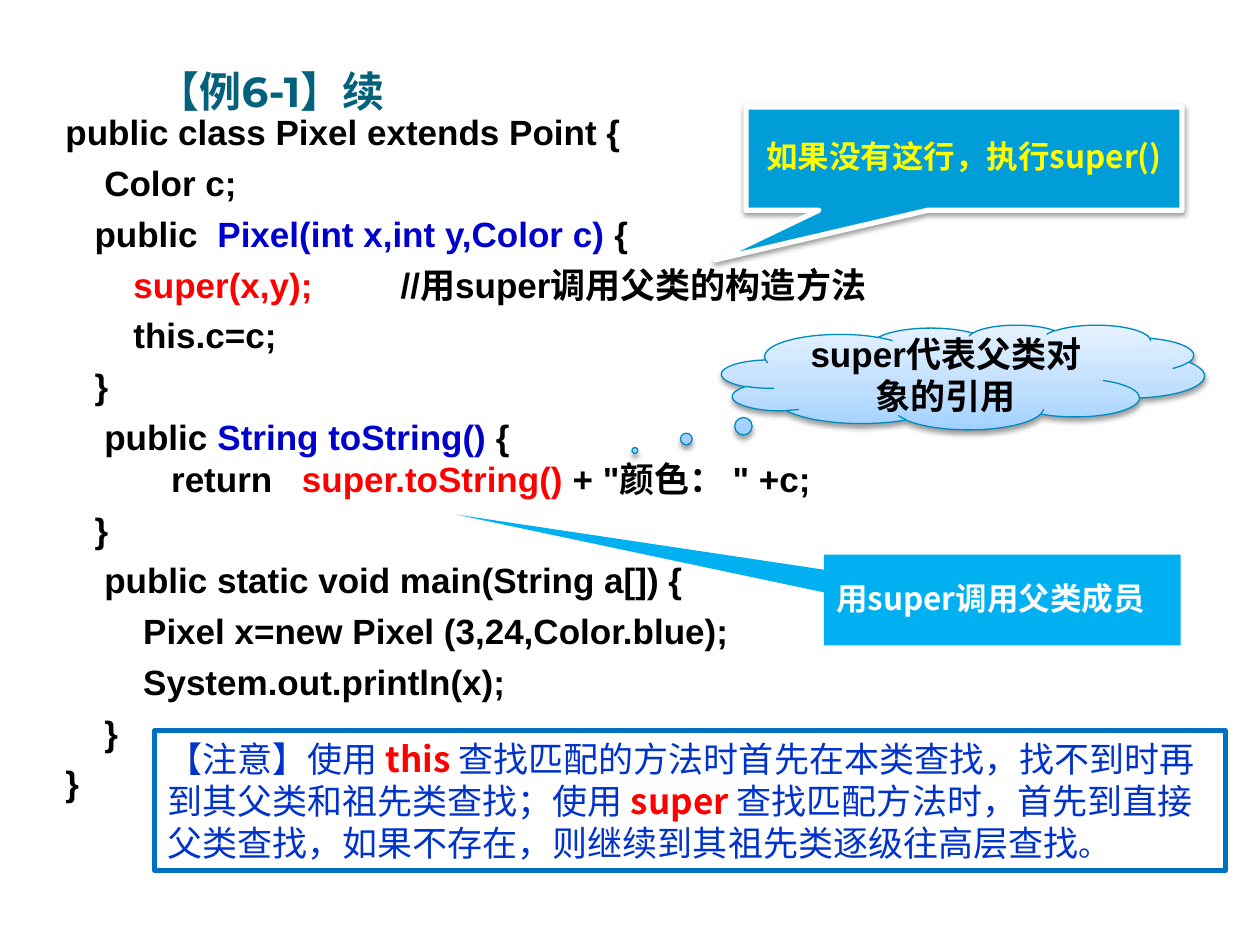
from dataclasses import dataclass
from typing import Optional

import lxml.etree
import pptx
import pptx.dml.color
import pptx.enum.dml
import pptx.enum.shapes
import pptx.enum.text
import pptx.oxml.ns
import pptx.util

Cm = pptx.util.Cm
Pt = pptx.util.Pt
RGBColor = pptx.dml.color.RGBColor
Anchor = pptx.enum.text.MSO_ANCHOR
Align = pptx.enum.text.PP_ALIGN
Preset = pptx.enum.shapes.MSO_SHAPE
qn = pptx.oxml.ns.qn

BLACK = RGBColor(0x00, 0x00, 0x00)
WHITE = RGBColor(0xFF, 0xFF, 0xFF)
RED = RGBColor(0xFF, 0x00, 0x00)
YELLOW = RGBColor(0xFF, 0xFF, 0x00)
TEAL = RGBColor(0x04, 0x61, 0x7B)
CODE_BLUE = RGBColor(0x00, 0x00, 0xCC)
NOTE_BLUE = RGBColor(0x00, 0x33, 0xCC)
FRAME_BLUE = RGBColor(0x00, 0x70, 0xC0)
DEEP_SKY = RGBColor(0x00, 0x9D, 0xD9)
SKY = RGBColor(0x00, 0xB0, 0xF0)
CLOUD_LINE = RGBColor(0x00, 0x8B, 0xC0)
CLOUD_STOPS = (
    (0, RGBColor(0xA2, 0xD1, 0xFF)),
    (0.35, RGBColor(0xBD, 0xDE, 0xFF)),
    (1, RGBColor(0xE6, 0xF2, 0xFF)),
)
CHINESE_FONT = "Noto Sans CJK SC"


@dataclass(frozen=True)
class Span:
    text: str
    color: RGBColor = BLACK
    bold: bool = True
    size: float = 20


@dataclass(frozen=True)
class Style:
    font: str
    align: Align = Align.LEFT
    hanging: float = 0
    before: float = 0
    after: float = 0
    spacing: Optional[float] = None


@dataclass(frozen=True)
class Callout:
    preset: Preset
    area: tuple[float, float, float, float]
    tail: tuple[float, float]
    span: Span
    style: Style
    fill: Optional[RGBColor] = None
    line: Optional[RGBColor] = None
    line_width: float = 0
    shadow: bool = False


CODE_STYLE = Style("Arial", hanging=0.76, before=5)
CODE = (
    (Span("public class Pixel extends Point {"),),
    (Span("    Color c;"),),
    (Span("   public  "), Span("Pixel(int x,int y,Color c)", CODE_BLUE), Span(" {")),
    (Span("       super(x,y);         ", RED), Span("//用super调用父类的构造方法")),
    (Span("       this.c=c;"),),
    (Span("   }"),),
    (Span("    public "), Span("String toString()", CODE_BLUE), Span(" {"), Span("\n"),
     Span("       return   "), Span("super.toString() ", RED), Span("+ \"颜色： \" +c;")),
    (Span("   }"),),
    (Span("    public static void main(String a[]) {"),),
    (Span("        Pixel x=new Pixel (3,24,Color.blue);"),),
    (Span("        System.out.println(x);"),),
    (Span("    }"),),
    (Span("}"),),
)
NOTE = (
    Span("【注意】使用 ", NOTE_BLUE, False),
    Span("this ", RED),
    Span("查找匹配的方法时首先在本类查找，找不到时再到其父类和祖先类查找；使用 ", NOTE_BLUE, False),
    Span("super ", RED),
    Span("查找匹配方法时，首先到直接父类查找，如果不存在，则继续到其祖先类逐级往高层查找", NOTE_BLUE, False),
    Span("。", NOTE_BLUE, False, 18),
)
CALLOUTS = (
    Callout(Preset.RECTANGULAR_CALLOUT, (15.04, 2.16, 8.79, 2.08), (-0.57, 0.98),
            Span("如果没有这行，执行super()", YELLOW, size=18),
            Style(CHINESE_FONT, Align.CENTER, 0.48, 0, 3, 0.9),
            DEEP_SKY, WHITE, 3, True),
    Callout(Preset.RECTANGULAR_CALLOUT, (16.61, 11.18, 7.19, 1.83), (-1.53, -0.94),
            Span("用super调用父类成员", WHITE, size=18),
            Style(CHINESE_FONT, Align.LEFT, 0.48, 0, 3, 0.9), SKY),
    Callout(Preset.CLOUD_CALLOUT, (14.55, 6.55, 9.73, 2.11), (-0.68, 0.7),
            Span("super代表父类对象的引用"), Style("Arial", Align.CENTER),
            None, CLOUD_LINE, 0.75, True),
)


def lengths(area: tuple[float, float, float, float]) -> list[Cm]:
    return [Cm(value) for value in area]


def write_spans(paragraph, spans: tuple[Span, ...], style: Style, first: bool) -> None:
    paragraph.alignment = style.align
    paragraph.space_before = Pt(0 if first else style.before)
    paragraph.space_after = Pt(style.after)
    if style.spacing:
        paragraph.line_spacing = style.spacing
    if style.hanging:
        properties = paragraph._p.get_or_add_pPr()
        properties.set("marL", str(Cm(style.hanging)))
        properties.set("indent", str(-Cm(style.hanging)))
    for span in spans:
        if span.text == "\n":
            paragraph.add_line_break()
            continue
        run = paragraph.add_run()
        run.text = span.text
        run.font.size = Pt(span.size)
        run.font.bold = span.bold
        run.font.name = style.font
        run.font.color.rgb = span.color
        lxml.etree.SubElement(run.font._element, qn("a:ea"), typeface=CHINESE_FONT)


def write_frame(frame, paragraphs: tuple[tuple[Span, ...], ...], style: Style, anchor: Anchor) -> None:
    frame.word_wrap = True
    frame.vertical_anchor = anchor
    for index, spans in enumerate(paragraphs):
        paragraph = frame.add_paragraph() if index else frame.paragraphs[0]
        write_spans(paragraph, spans, style, index == 0)


def add_text(page, area: tuple[float, float, float, float], paragraphs, style: Style, anchor: Anchor):
    box = page.shapes.add_textbox(*lengths(area))
    write_frame(box.text_frame, paragraphs, style, anchor)
    return box


def add_shadow(shape) -> None:
    effects = shape.element.spPr.find(qn("a:effectLst"))
    shadow = lxml.etree.SubElement(
        effects, qn("a:outerShdw"), blurRad=str(Pt(3.1)), dist=str(Pt(1.6)),
        dir="5400000", rotWithShape="0")
    color = lxml.etree.SubElement(shadow, qn("a:srgbClr"), val=str(BLACK))
    lxml.etree.SubElement(color, qn("a:alpha"), val="38000")


def fill_cloud(shape) -> None:
    shape.fill.gradient()
    shape.fill.gradient_angle = 90
    stops = shape.element.spPr.find(qn("a:gradFill")).find(qn("a:gsLst"))
    for stop in list(stops):
        stops.remove(stop)
    for position, color in CLOUD_STOPS:
        stop = lxml.etree.SubElement(stops, qn("a:gs"), pos=str(int(position * 100000)))
        lxml.etree.SubElement(stop, qn("a:srgbClr"), val=str(color))


def add_callout(page, callout: Callout) -> None:
    shape = page.shapes.add_shape(callout.preset, *lengths(callout.area))
    shape.shadow.inherit = False
    shape.adjustments[0], shape.adjustments[1] = callout.tail
    if callout.fill is None:
        fill_cloud(shape)
    else:
        shape.fill.solid()
        shape.fill.fore_color.rgb = callout.fill
    if callout.line is None:
        shape.line.fill.background()
    else:
        shape.line.color.rgb = callout.line
        shape.line.width = Pt(callout.line_width)
    if callout.shadow:
        add_shadow(shape)
    write_frame(shape.text_frame, ((callout.span,),), callout.style, Anchor.MIDDLE)


def main() -> None:
    deck = pptx.Presentation()
    deck.slide_width, deck.slide_height = Cm(25.4), Cm(19.05)
    page = deck.slides.add_slide(deck.slide_layouts[6])

    title = add_text(page, (3.18, 1.07, 9.96, 1.27), ((Span("【例6-1】续", TEAL, size=24),),),
                     Style("Montserrat"), Anchor.BOTTOM)
    title.text_frame.margin_left = title.text_frame.margin_right = Cm(0)
    title.text_frame.margin_bottom = Cm(0)

    add_text(page, (1.07, 2.11, 22.66, 13.77), CODE, CODE_STYLE, Anchor.TOP)

    note = add_text(page, (3.12, 14.73, 21.59, 2.82), (NOTE,), Style(CHINESE_FONT), Anchor.MIDDLE)
    note.line.color.rgb = FRAME_BLUE
    note.line.width = Pt(2.75)

    for callout in CALLOUTS:
        add_callout(page, callout)
    deck.save("out.pptx")


if __name__ == "__main__":
    main()
